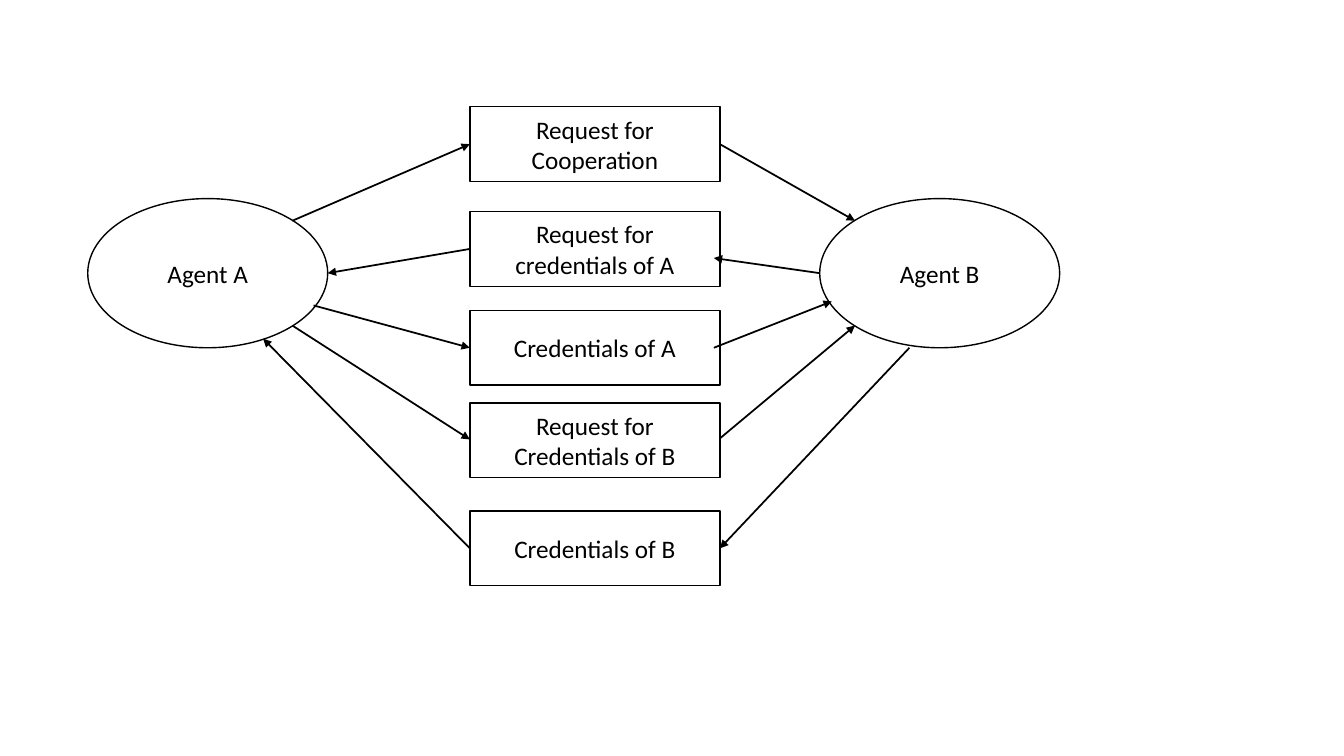
"""Draw the exchange of credentials between two agents."""
from dataclasses import dataclass
from typing import NamedTuple

from lxml.etree import SubElement
from pptx import Presentation
from pptx.dml.color import RGBColor
from pptx.enum.shapes import MSO_CONNECTOR, MSO_SHAPE
from pptx.enum.text import MSO_ANCHOR, PP_ALIGN
from pptx.oxml.ns import qn
from pptx.slide import Slide
from pptx.text.text import TextFrame
from pptx.util import Inches, Pt


@dataclass(frozen=True)
class Theme:
    """Hold the colours, type and line widths of the slide."""

    ink: RGBColor = RGBColor(0, 0, 0)
    font: str = "Calibri"
    text_size: Pt = Pt(18)
    outline: Pt = Pt(1)
    arrow: Pt = Pt(1.25)


class Node(NamedTuple):
    """Describe a labelled shape in inches."""

    text: str
    left: float
    top: float
    width: float
    height: float
    kind: MSO_SHAPE


class Arrow(NamedTuple):
    """Describe an arrow by its start and tip in inches."""

    start: tuple[float, float]
    tip: tuple[float, float]


THEME = Theme()
AGENT_TOP, AGENT_WIDTH, AGENT_HEIGHT = 1.97, 2.38, 1.48
MESSAGE_LEFT, MESSAGE_WIDTH, MESSAGE_HEIGHT = 4.66, 2.48, 0.74
MESSAGE_RIGHT = MESSAGE_LEFT + MESSAGE_WIDTH

AGENTS = {"Agent A": 0.87, "Agent B": 8.13}
MESSAGES = {
    "Request for Cooperation": 1.06,
    "Request for credentials of A": 2.1,
    "Credentials of A": 3.08,
    "Request for Credentials of B": 4,
    "Credentials of B": 5.07,
}
ARROWS = [
    Arrow((2.9, 2.19), (MESSAGE_LEFT, 1.43)),
    Arrow((MESSAGE_RIGHT, 1.43), (8.48, 2.19)),
    Arrow((MESSAGE_LEFT, 2.47), (3.25, 2.71)),
    Arrow((8.13, 2.71), (7.08, 2.56)),
    Arrow((3.11, 3.03), (MESSAGE_LEFT, 3.45)),
    Arrow((7.08, 3.45), (8.25, 2.99)),
    Arrow((2.9, 3.23), (MESSAGE_LEFT, 4.36)),
    Arrow((MESSAGE_RIGHT, 4.35), (8.48, 3.23)),
    Arrow((9.02, 3.45), (MESSAGE_RIGHT, 5.44)),
    Arrow((MESSAGE_LEFT, 5.44), (2.61, 3.36)),
]


def write_text(frame: TextFrame, text: str, *, size: Pt, color: RGBColor,
               align: PP_ALIGN = PP_ALIGN.CENTER) -> None:
    """Write one formatted paragraph in the middle of a frame."""
    frame.word_wrap = True
    frame.vertical_anchor = MSO_ANCHOR.MIDDLE
    para = frame.paragraphs[0]
    para.alignment = align
    span = para.add_run()
    span.text = text
    span.font.name = THEME.font
    span.font.size = size
    span.font.color.rgb = color


def draw_node(page: Slide, node: Node) -> None:
    """Draw an outlined shape with its label."""
    box = page.shapes.add_shape(node.kind, Inches(node.left), Inches(node.top),
                                Inches(node.width), Inches(node.height))
    box.shadow.inherit = False
    box.fill.background()
    box.line.color.rgb = THEME.ink
    box.line.width = THEME.outline
    write_text(box.text_frame, node.text, size=THEME.text_size, color=THEME.ink)


def draw_arrow(page: Slide, arrow: Arrow) -> None:
    """Draw a straight line with a triangle at its tip."""
    ends = [Inches(value) for value in (*arrow.start, *arrow.tip)]
    connector = page.shapes.add_connector(MSO_CONNECTOR.STRAIGHT, *ends)
    connector.line.color.rgb = THEME.ink
    connector.line.width = THEME.arrow
    SubElement(connector.line._get_or_add_ln(), qn("a:tailEnd"), type="triangle")
    SubElement(connector._element.spPr, qn("a:effectLst"))


def main() -> None:
    """Build the slide and save the deck."""
    deck = Presentation()
    deck.slide_width, deck.slide_height = Inches(13.33), Inches(7.5)
    page = deck.slides.add_slide(deck.slide_layouts[6])
    for text, left in AGENTS.items():
        draw_node(page, Node(text, left, AGENT_TOP, AGENT_WIDTH, AGENT_HEIGHT,
                             MSO_SHAPE.OVAL))
    for text, top in MESSAGES.items():
        draw_node(page, Node(text, MESSAGE_LEFT, top, MESSAGE_WIDTH, MESSAGE_HEIGHT,
                             MSO_SHAPE.RECTANGLE))
    for arrow in ARROWS:
        draw_arrow(page, arrow)
    deck.save("out.pptx")


main()
